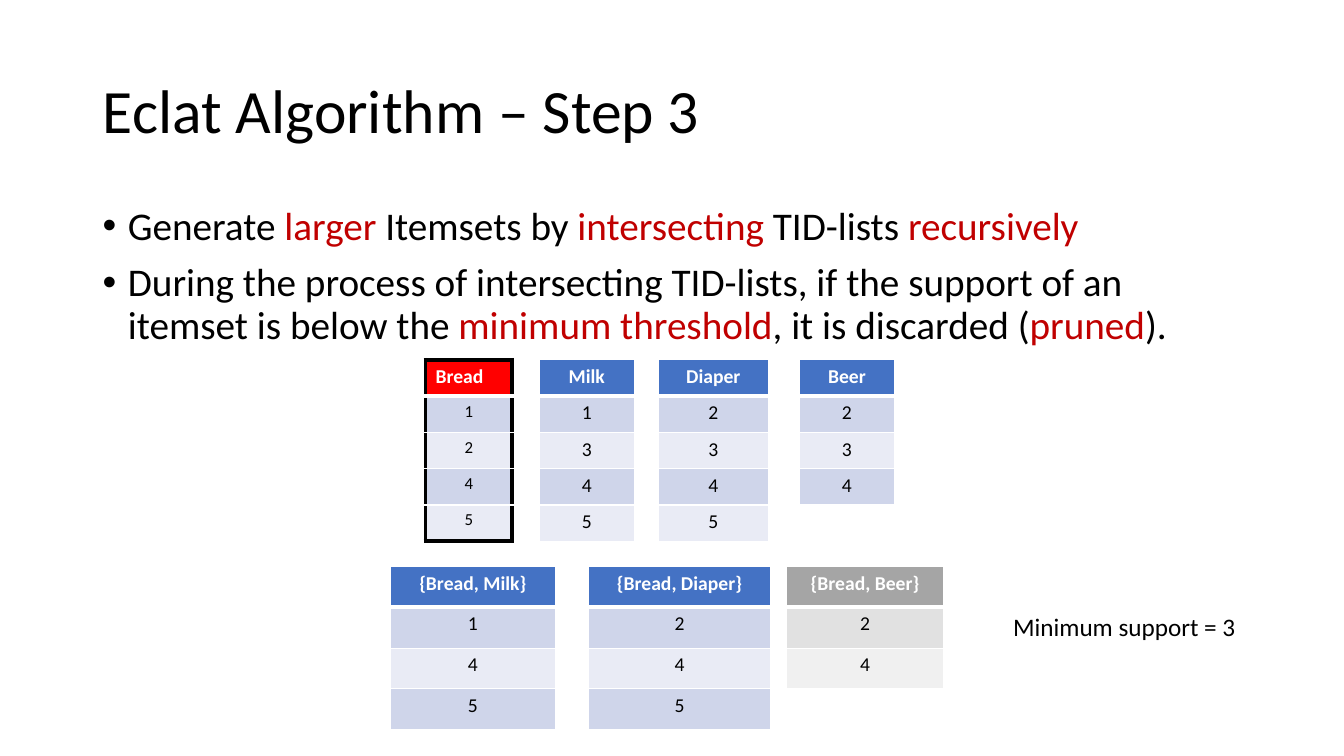
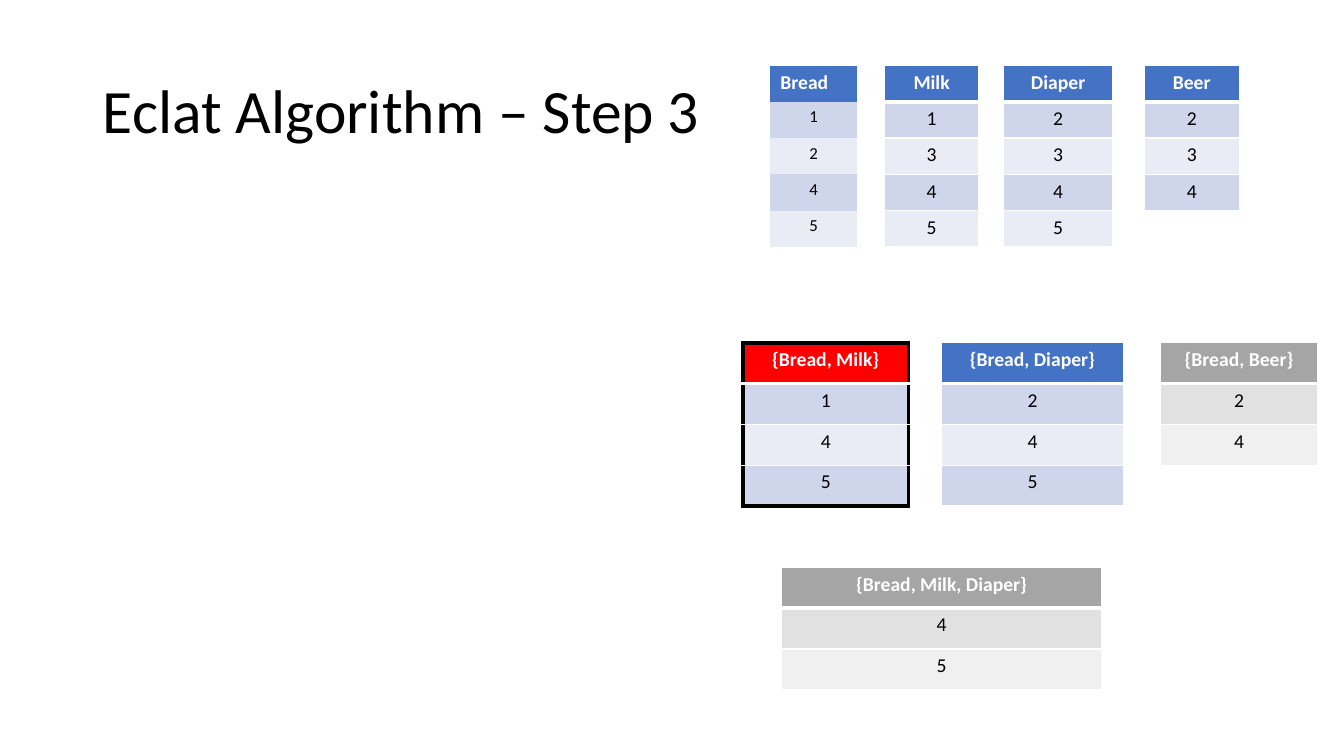
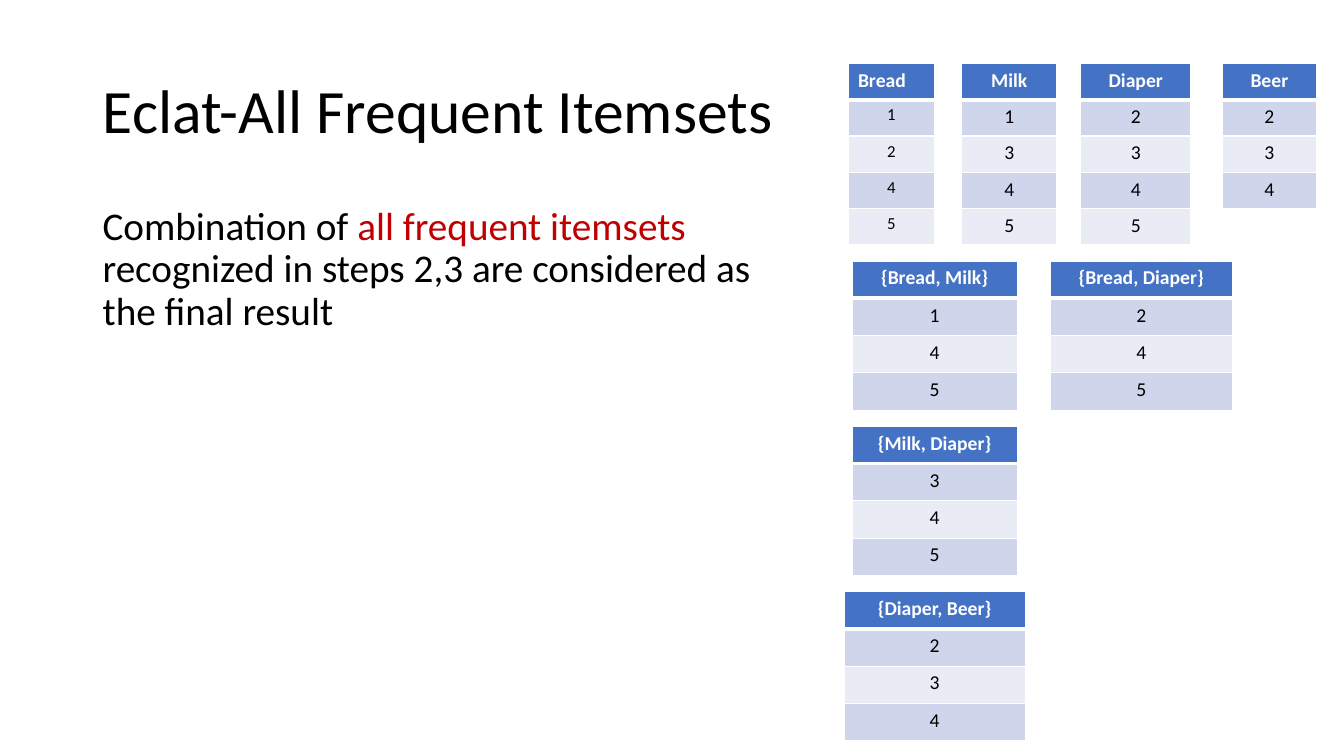
import pptx
import pptx.dml.color
import pptx.enum.text
import pptx.oxml.ns
import pptx.util
from lxml import etree

RGBColor = pptx.dml.color.RGBColor
PP_ALIGN = pptx.enum.text.PP_ALIGN
MSO_ANCHOR = pptx.enum.text.MSO_ANCHOR
Inches = pptx.util.Inches

BLACK = RGBColor(0x00, 0x00, 0x00)
WHITE = RGBColor(0xFF, 0xFF, 0xFF)
EMPHASIS = RGBColor(0xC0, 0x00, 0x00)
SELECTED = RGBColor(0xFF, 0x00, 0x00)
BLUE = RGBColor(0x44, 0x72, 0xC4)
BLUE_BANDS = (RGBColor(0xCF, 0xD5, 0xEA), RGBColor(0xE9, 0xEB, 0xF5))
GREY = RGBColor(0xA5, 0xA5, 0xA5)
GREY_BANDS = (RGBColor(0xE1, 0xE1, 0xE1), RGBColor(0xF0, 0xF0, 0xF0))

FONT = "Calibri"
SLIDE_WIDTH, SLIDE_HEIGHT = 13.33, 7.5
MARGIN = 0.92
CONTENT_WIDTH = SLIDE_WIDTH - 2 * MARGIN
TITLE_TOP, TITLE_HEIGHT = 0.4, 1.45
BODY_TOP, BODY_HEIGHT = 2, 4.76
TITLE_ONLY = 5

MINIMUM_SUPPORT = 3
TID_LISTS = {
    "Bread": {1, 2, 4, 5},
    "Milk": {1, 3, 4, 5},
    "Diaper": {2, 3, 4, 5},
    "Beer": {2, 3, 4},
}
# Item: offset from the first table, width
ITEM_COLUMNS = {
    "Bread": (0, 0.86),
    "Milk": (1.13, 0.94),
    "Diaper": (2.31, 1.09),
    "Beer": (3.71, 0.94),
}
ITEM_ROW = 0.36
PAIR_ROW = 1.62 / 4
COMPACT_ROW = 0.37
PAIR_STEP = 1.97
PAIR_WIDTH, WIDE_PAIR_WIDTH, BEER_PAIR_WIDTH = 1.64, 1.8, 1.56


def write_text(paragraph, text, size, color=BLACK, bold=False,
               align=PP_ALIGN.LEFT, line_spacing=None, space_before=None,
               bullet=False):
    """Fill a paragraph; parts between asterisks get the emphasis colour."""
    if bullet:
        properties = paragraph._p.get_or_add_pPr()
        properties.set("marL", str(Inches(0.25)))
        properties.set("indent", str(-Inches(0.25)))
        for tag, attribute, value in (("a:buFont", "typeface", "Arial"),
                                      ("a:buChar", "char", "•")):
            element = etree.SubElement(properties, pptx.oxml.ns.qn(tag))
            element.set(attribute, value)
    paragraph.alignment = align
    if line_spacing:
        paragraph.line_spacing = line_spacing
    if space_before:
        paragraph.space_before = pptx.util.Pt(space_before)
    for index, part in enumerate(text.split("*")):
        if not part:
            continue
        run = paragraph.add_run()
        run.text = part
        run.font.name = FONT
        run.font.size = pptx.util.Pt(size)
        run.font.bold = bold
        run.font.color.rgb = EMPHASIS if index % 2 else color


def add_titled_slide(presentation, title):
    slide = presentation.slides.add_slide(
        presentation.slide_layouts[TITLE_ONLY])
    shape = slide.shapes.title
    shape.left, shape.top = Inches(MARGIN), Inches(TITLE_TOP)
    shape.width, shape.height = Inches(CONTENT_WIDTH), Inches(TITLE_HEIGHT)
    frame = shape.text_frame
    frame.auto_size = pptx.enum.text.MSO_AUTO_SIZE.NONE
    frame.vertical_anchor = MSO_ANCHOR.MIDDLE
    write_text(frame.paragraphs[0], title, size=44, line_spacing=0.9)
    return slide


def add_text(slide, texts, left, top, width, height, **text_format):
    """Add a text box with one paragraph for each text."""
    box = slide.shapes.add_textbox(
        Inches(left), Inches(top), Inches(width), Inches(height))
    frame = box.text_frame
    frame.word_wrap = True
    for index, text in enumerate(texts):
        paragraph = frame.add_paragraph() if index else frame.paragraphs[0]
        write_text(paragraph, text, space_before=10 if index else None,
                   **text_format)


def add_body(slide, texts, width=CONTENT_WIDTH, bullet=False):
    add_text(slide, texts, MARGIN, BODY_TOP, width, BODY_HEIGHT,
             size=28, line_spacing=0.9, bullet=bullet)


def set_borders(cell, borders):
    """Draw left, right, top and bottom borders given as (colour, points)."""
    properties = cell._tc.get_or_add_tcPr()
    for index, (side, border) in enumerate(zip("LRTB", borders)):
        line = etree.Element(pptx.oxml.ns.qn(f"a:ln{side}"))
        if border is None:
            etree.SubElement(line, pptx.oxml.ns.qn("a:noFill"))
        else:
            color, points = border
            line.set("w", str(pptx.util.Pt(points)))
            fill = etree.SubElement(line, pptx.oxml.ns.qn("a:solidFill"))
            etree.SubElement(fill, pptx.oxml.ns.qn("a:srgbClr")).set(
                "val", str(color))
        properties.insert(index, line)


def row_borders(row, last_row, selected, bordered):
    if not bordered:
        return (None,) * 4
    thin, thick, frame = (WHITE, 1), (WHITE, 3), (BLACK, 3)
    side = frame if selected else thin
    top = thick if row == 1 else thin
    bottom = thick if row == 0 else thin
    if selected and row == 0:
        top = frame
    if selected and row == last_row:
        bottom = frame
    return side, side, top, bottom


def add_tid_table(slide, items, left, top, width, row_height,
                  selected=False, bordered=True, header_align=PP_ALIGN.CENTER,
                  tid_size=14):
    """Add an itemset's intersected TID-list, grey if it lacks support."""
    tids = sorted(set.intersection(*(TID_LISTS[item] for item in items)))
    label = items[0] if len(items) == 1 else "{" + ", ".join(items) + "}"
    pruned = len(tids) < MINIMUM_SUPPORT
    bands = GREY_BANDS if pruned else BLUE_BANDS
    header_fill = SELECTED if selected else GREY if pruned else BLUE

    row_count = len(tids) + 1
    table = slide.shapes.add_table(
        row_count, 1, Inches(left), Inches(top), Inches(width),
        Inches(row_height * row_count)).table
    for row, value in enumerate([label, *tids]):
        table.rows[row].height = Inches(row_height)
        cell = table.cell(row, 0)
        cell.fill.solid()
        cell.fill.fore_color.rgb = bands[(row - 1) % 2] if row else header_fill
        set_borders(cell, row_borders(row, len(tids), selected, bordered))
        paragraph = cell.text_frame.paragraphs[0]
        if row:
            write_text(paragraph, str(value), size=tid_size,
                       align=PP_ALIGN.CENTER)
        else:
            write_text(paragraph, value, size=14, color=WHITE, bold=True,
                       align=header_align)


def add_item_tables(slide, left, top, **bread_style):
    """Add the four single-item tables; the style applies to Bread only."""
    for item, (offset, width) in ITEM_COLUMNS.items():
        style = {}
        if item == "Bread":
            style = dict(header_align=PP_ALIGN.LEFT, tid_size=12,
                         **bread_style)
        add_tid_table(slide, [item], left + offset, top, width, ITEM_ROW,
                      **style)


def add_bread_pairs(slide, left, top, row_height, selected=False):
    add_tid_table(slide, ["Bread", "Milk"], left, top, PAIR_WIDTH, row_height,
                  selected=selected)
    add_tid_table(slide, ["Bread", "Diaper"], left + PAIR_STEP, top,
                  WIDE_PAIR_WIDTH, row_height)


def build_pair_slide(presentation):
    slide = add_titled_slide(presentation, "Eclat Algorithm – Step 3")
    add_body(slide, [
        "Generate *larger *Itemsets by *intersecting* TID-lists *recursively*",
        "During the process of intersecting TID-lists, if the support of an "
        "itemset is below the *minimum threshold*, it is discarded "
        "(*pruned*).",
    ], bullet=True)
    add_item_tables(slide, 4.22, 3.57, selected=True)
    add_bread_pairs(slide, 3.87, 5.62, PAIR_ROW)
    add_tid_table(slide, ["Bread", "Beer"], 7.8, 5.62, BEER_PAIR_WIDTH,
                  PAIR_ROW)
    add_text(slide, [f"Minimum support = {MINIMUM_SUPPORT}"],
             9.95, 6.02, 3.2, 0.4, size=18)


def build_triple_slide(presentation):
    slide = add_titled_slide(presentation, "Eclat Algorithm – Step 3")
    add_item_tables(slide, 7.64, 0.65, bordered=False)
    add_bread_pairs(slide, 7.37, 3.4, PAIR_ROW, selected=True)
    add_tid_table(slide, ["Bread", "Beer"], 11.51, 3.4, BEER_PAIR_WIDTH,
                  PAIR_ROW)
    add_tid_table(slide, ["Bread", "Milk", "Diaper"], 7.75, 5.63, 3.18,
                  PAIR_ROW)


def build_result_slide(presentation):
    slide = add_titled_slide(presentation, "Eclat-All Frequent Itemsets")
    add_body(slide, [
        "Combination of *all frequent itemsets *recognized in steps 2,3 are "
        "considered as the final result",
    ], width=6.93)
    add_item_tables(slide, 8.41, 0.63)
    left, top, step = 8.45, 2.59, 1.64
    add_bread_pairs(slide, left, top, COMPACT_ROW)
    add_tid_table(slide, ["Milk", "Diaper"], left, top + step, PAIR_WIDTH,
                  COMPACT_ROW)
    centred_left = left - (WIDE_PAIR_WIDTH - PAIR_WIDTH) / 2
    add_tid_table(slide, ["Diaper", "Beer"], centred_left, top + 2 * step,
                  WIDE_PAIR_WIDTH, COMPACT_ROW)


def main():
    presentation = pptx.Presentation()
    presentation.slide_width = Inches(SLIDE_WIDTH)
    presentation.slide_height = Inches(SLIDE_HEIGHT)
    build_pair_slide(presentation)
    build_triple_slide(presentation)
    build_result_slide(presentation)
    presentation.save("out.pptx")


if __name__ == "__main__":
    main()
